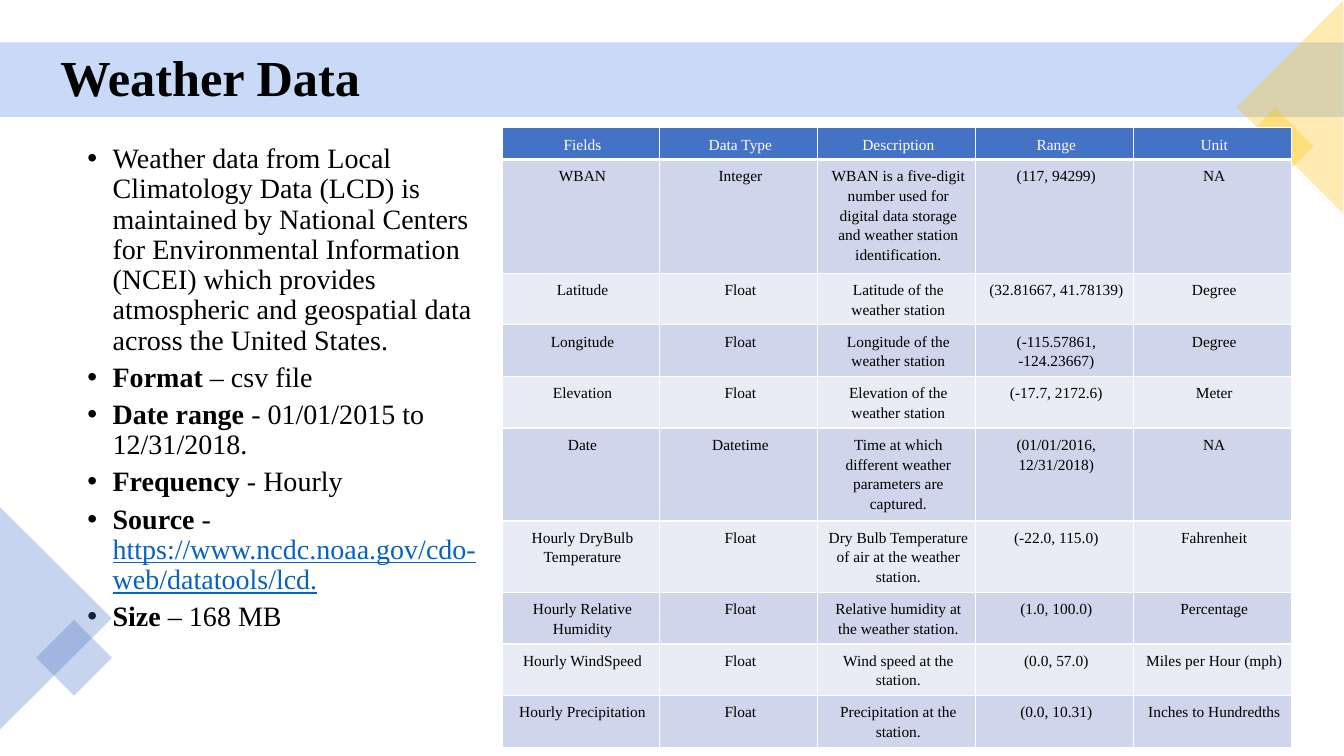
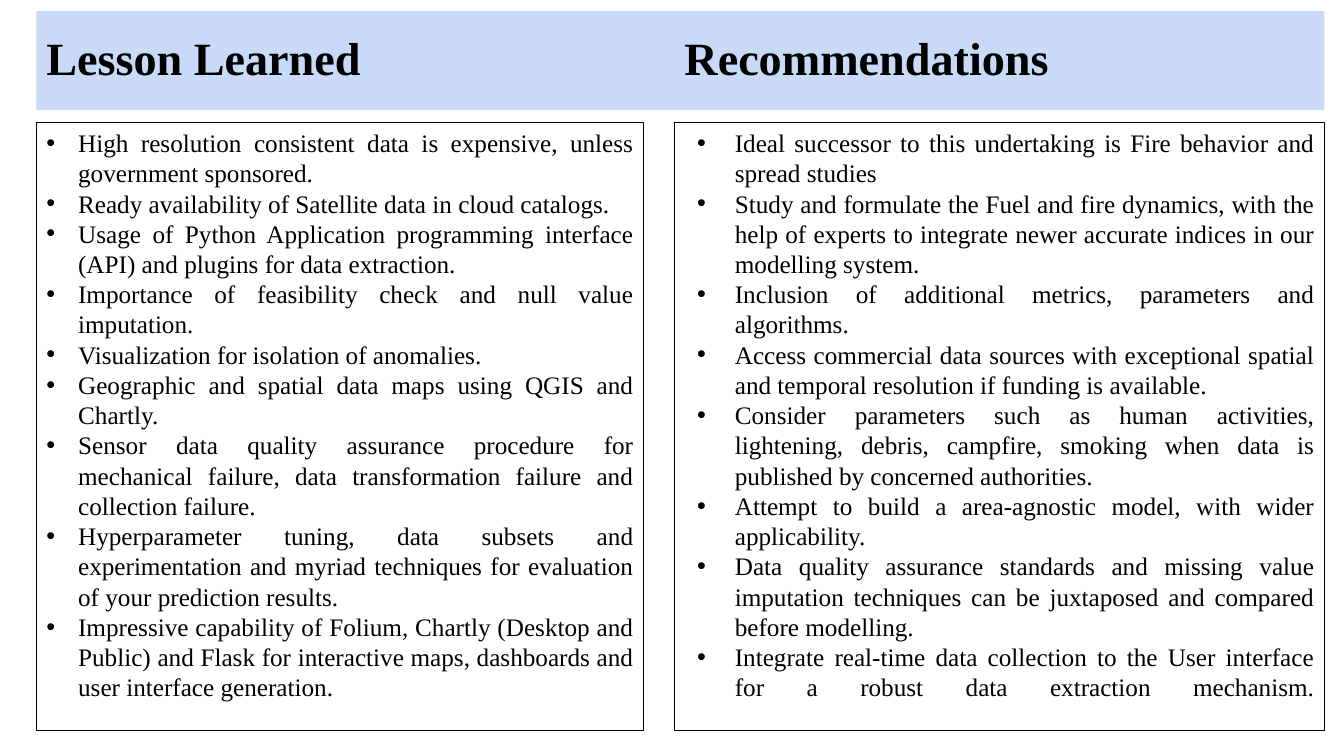
"""Build two slides: a weather data profile and the lessons with recommendations."""
from lxml.etree import SubElement
from pptx import Presentation
from pptx.dml.color import RGBColor
from pptx.enum.shapes import MSO_SHAPE as Preset
from pptx.enum.text import MSO_ANCHOR as Anchor, PP_ALIGN as Align
from pptx.oxml.ns import qn
from pptx.util import Cm, Pt

FONT = "Times New Roman"
BLACK, WHITE = "000000", "FFFFFF"
BAND, BLUE, GOLD, LINK = "C9DAF8", "4472C4", "FFC000", "0563C1"
STRIPES = ("CFD5EA", "E9EBF5")
SLIDE_WIDTH, SLIDE_HEIGHT = 33.87, 19.05
INSETS = {"margin_left": Cm(0.25), "margin_right": Cm(0.25),
          "margin_top": Cm(0.13), "margin_bottom": Cm(0.13)}
CELL_INSETS = {"margin_left": Cm(0.23), "margin_right": Cm(0.15),
               "margin_top": Cm(0.15), "margin_bottom": Cm(0.15)}

WEATHER_FACTS = [
    [("Weather data from Local Climatology Data (LCD) is maintained by National Centers for "
      "Environmental Information (NCEI) which provides atmospheric and geospatial data across "
      "the United States.", {})],
    [("Format", {"bold": True}), (" – csv file", {})],
    [("Date range", {"bold": True}), (" - 01/01/2015 to 12/31/2018.", {})],
    [("Frequency ", {"bold": True}), ("- Hourly", {})],
    [("Source", {"bold": True}), (" - ", {}),
     ("https://www.ncdc.noaa.gov/cdo-web/datatools/lcd.", {"color": LINK, "underline": True})],
    [("Size ", {"bold": True}), ("– 168 MB", {})],
]

FIELD_ROWS = [
    (0.78, "Fields", "Data Type", "Description", "Range", "Unit"),
    (2.87, "WBAN", "Integer", "WBAN is a five-digit number used for digital data storage and "
     "weather station identification.", "(117, 94299)", "NA"),
    (1.3, "Latitude", "Float", "Latitude of the weather station", "(32.81667, 41.78139)",
     "Degree"),
    (1.3, "Longitude", "Float", "Longitude of the weather station", "(-115.57861, -124.23667)",
     "Degree"),
    (1.3, "Elevation", "Float", "Elevation of the weather station", "(-17.7, 2172.6)", "Meter"),
    (2.34, "Date", "Datetime", "Time at which different weather parameters are captured.",
     "(01/01/2016, 12/31/2018)", "NA"),
    (1.8, "Hourly DryBulb Temperature", "Float",
     "Dry Bulb Temperature of air at the weather station.", "(-22.0, 115.0)", "Fahrenheit"),
    (1.3, "Hourly Relative Humidity", "Float", "Relative humidity at the weather station.",
     "(1.0, 100.0)", "Percentage"),
    (1.3, "Hourly WindSpeed", "Float", "Wind speed at the station.", "(0.0, 57.0)",
     "Miles per Hour (mph)"),
    (1.3, "Hourly Precipitation", "Float", "Precipitation at the station.", "(0.0, 10.31)",
     "Inches to Hundredths"),
]

LESSONS = [
    "High resolution consistent data is expensive, unless government sponsored.",
    "Ready availability of Satellite data in cloud catalogs.",
    "Usage of Python Application programming interface (API) and plugins for data extraction.",
    "Importance of feasibility check and null value imputation.",
    "Visualization for isolation of anomalies.",
    "Geographic and spatial data maps using QGIS and Chartly.",
    "Sensor data quality assurance procedure for mechanical failure, data transformation "
    "failure and collection failure.",
    "Hyperparameter tuning, data subsets and experimentation and myriad techniques for "
    "evaluation of your prediction results.",
    "Impressive capability of Folium, Chartly (Desktop and Public) and Flask for interactive "
    "maps, dashboards and user interface generation.",
]

RECOMMENDATIONS = [
    "Ideal successor to this undertaking is Fire behavior and spread studies",
    "Study and formulate the Fuel and fire dynamics, with the help of experts to integrate "
    "newer accurate indices in our modelling system.",
    "Inclusion of additional metrics, parameters and algorithms.",
    "Access commercial data sources with exceptional spatial and temporal resolution if "
    "funding is available.",
    "Consider parameters such as human activities, lightening, debris, campfire, smoking when "
    "data is published by concerned authorities.",
    "Attempt to build a area-agnostic model, with wider applicability.",
    "Data quality assurance standards and missing value imputation techniques can be "
    "juxtaposed and compared before modelling.",
    "Integrate real-time data collection to the User interface for a robust data extraction "
    "mechanism.",
]


def rgb(color):
    """Turn a hex string into a colour."""
    return RGBColor.from_string(color)


def apply(target, values):
    """Set every attribute named in values on the target."""
    for name, value in values.items():
        setattr(target, name, value)


def add_panel(slide, box, fill=None, line=None, preset=Preset.RECTANGLE, turn=0, opacity=100):
    """Add a preset shape with an optional fill and outline."""
    panel = slide.shapes.add_shape(preset, *map(Cm, box))
    panel.shadow.inherit = False
    panel.rotation = turn
    if fill:
        panel.fill.solid()
        panel.fill.fore_color.rgb = rgb(fill)
        if opacity < 100:
            tint = panel.element.spPr.find(qn("a:solidFill"))[0]
            SubElement(tint, qn("a:alpha"), val=str(opacity * 1000))
    else:
        panel.fill.background()
    if line:
        panel.line.color.rgb = rgb(line)
        panel.line.width = Pt(0.75)
    else:
        panel.line.fill.background()
    return panel


def add_text(paragraph, text, size, color=BLACK, **style):
    """Add a styled run to a paragraph."""
    run = paragraph.add_run()
    run.text = text
    apply(run.font, {"name": FONT, "size": Pt(size), **style})
    run.font.color.rgb = rgb(color)


def indent(paragraph, left, hanging=0.0):
    """Set the left margin and, with a hanging indent, a round bullet."""
    properties = paragraph._p.get_or_add_pPr()
    properties.set("marL", str(Cm(left)))
    properties.set("indent", str(-Cm(hanging)))
    if hanging:
        tint = SubElement(properties, qn("a:buClr"))
        SubElement(tint, qn("a:srgbClr"), val=BLACK)
        SubElement(properties, qn("a:buFont"), typeface="Arial")
        SubElement(properties, qn("a:buChar"), char="•")


def add_heading(slide, box, text, size, left=0.0, fill=BAND):
    """Add a bold heading, on a band unless fill is None."""
    frame = add_panel(slide, box, fill).text_frame
    apply(frame, {**INSETS, "word_wrap": True, "vertical_anchor": Anchor.MIDDLE})
    heading = frame.paragraphs[0]
    indent(heading, left)
    apply(heading, {"alignment": Align.LEFT, "line_spacing": 0.9})
    add_text(heading, text, size, bold=True)


def add_bullets(slide, box, items, size, left, hanging, layout, gap=0, line=None):
    """Add a bulleted list whose items are lists of text and style pairs."""
    frame = add_panel(slide, box, line=line).text_frame
    apply(frame, {**INSETS, "word_wrap": True, "vertical_anchor": Anchor.TOP})
    for number, pieces in enumerate(items):
        bullet = frame.add_paragraph() if number else frame.paragraphs[0]
        indent(bullet, left, hanging)
        apply(bullet, {**layout, "space_before": Pt(gap if number else 0)})
        for text, style in pieces:
            add_text(bullet, text, size, **style)
    return frame


def add_corner(slide, color, triangle, turn, diamond):
    """Add a translucent corner triangle with a small diamond."""
    add_panel(slide, triangle, color, preset=Preset.ISOSCELES_TRIANGLE, turn=turn, opacity=30)
    add_panel(slide, diamond, color, turn=45, opacity=30)


def add_borders(cell, widths):
    """Draw white cell borders with the given widths in points."""
    properties = cell._tc.get_or_add_tcPr()
    for side, width in widths.items():
        border = SubElement(properties, qn(f"a:ln{side}"), w=str(Pt(width)))
        SubElement(SubElement(border, qn("a:solidFill")), qn("a:srgbClr"), val=WHITE)


def add_field_table(slide, left, top, column_width):
    """Add the table of weather fields with a blue header and striped rows."""
    columns = len(FIELD_ROWS[0]) - 1
    height = sum(row[0] for row in FIELD_ROWS)
    table = slide.shapes.add_table(len(FIELD_ROWS), columns, Cm(left), Cm(top),
                                   Cm(column_width * columns), Cm(height)).table
    apply(table, {"first_row": False, "horz_banding": False})
    for column in table.columns:
        column.width = Cm(column_width)
    for number, (row_height, *entries) in enumerate(FIELD_ROWS):
        header = number == 0
        table.rows[number].height = Cm(row_height)
        for position, entry in enumerate(entries):
            cell = table.cell(number, position)
            apply(cell, CELL_INSETS)
            add_borders(cell, {"L": 1, "R": 1, "T": 1, "B": 3 if header else 1})
            cell.fill.solid()
            cell.fill.fore_color.rgb = rgb(BLUE if header else STRIPES[(number - 1) % 2])
            paragraph = cell.text_frame.paragraphs[0]
            apply(paragraph, {"alignment": Align.CENTER, "line_spacing": 1.15})
            add_text(paragraph, entry, 11, WHITE if header else BLACK)


def build_weather(slide):
    """Fill the weather data slide."""
    add_heading(slide, (0, 1.07, SLIDE_WIDTH, 1.88), "Weather Data", 36, left=1.27)
    add_bullets(slide, (0.69, 3.51, 12.24, 13.67), WEATHER_FACTS, 20, 1.9, 0.64,
                {"alignment": Align.LEFT, "line_spacing": 0.9}, gap=5)
    add_corner(slide, BLUE, (-1.4, 14.17, 5.61, 2.82), 90, (1.19, 15.9, 1.35, 1.35))
    add_corner(slide, GOLD, (29.82, 1.35, 5.38, 2.69), 270, (31.45, 3, 1.37, 1.37))
    add_field_table(slide, 12.65, 3.22, 3.98)


def build_lessons(slide):
    """Fill the lessons and recommendations slide."""
    left, middle, right = 0.92, 17, 33.38
    band_top, band_height, list_top, list_height = 0.28, 2.5, 3.08, 15.32
    justified = {"alignment": Align.JUSTIFY}
    add_heading(slide, (left, band_top, right - left, band_height), "Lesson Learned", 33)
    add_heading(slide, (middle, band_top, 12.47, band_height), "Recommendations", 33, fill=None)
    for start, width, items, margin, hanging in (
            (left, 15.3, LESSONS, 0.8, 0.8),
            (middle, right - middle, RECOMMENDATIONS, 1.27, 0.95)):
        frame = add_bullets(slide, (start, list_top, width, list_height),
                            [[(item, {})] for item in items], 18, margin, hanging,
                            justified, line=BLACK)
    frame.paragraphs[-1].add_line_break()


def main():
    """Build and save the presentation."""
    deck = Presentation()
    apply(deck, {"slide_width": Cm(SLIDE_WIDTH), "slide_height": Cm(SLIDE_HEIGHT)})
    for build in (build_weather, build_lessons):
        build(deck.slides.add_slide(deck.slide_layouts[6]))
    deck.save("out.pptx")


if __name__ == "__main__":
    main()
